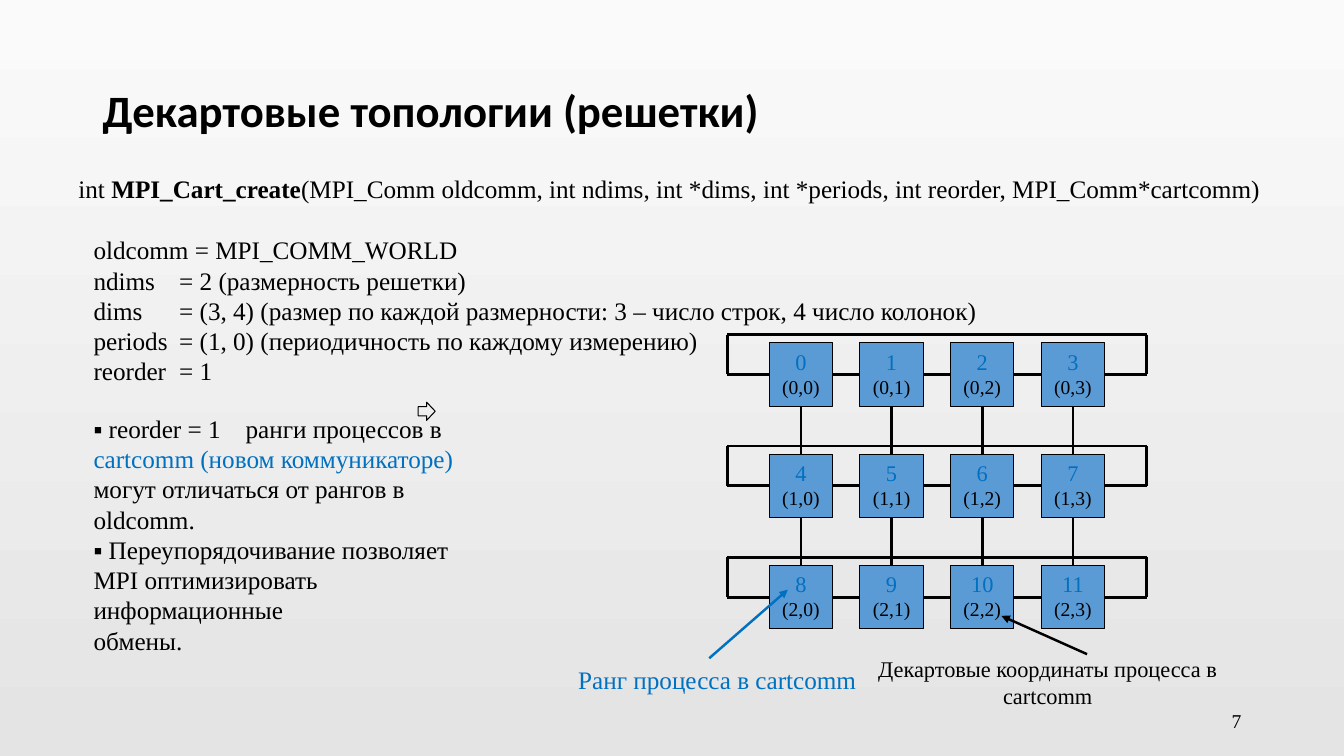
from itertools import product

from lxml.etree import SubElement
from pptx import Presentation
from pptx.dml.color import RGBColor
from pptx.enum.shapes import MSO_CONNECTOR, MSO_SHAPE
from pptx.enum.text import MSO_ANCHOR as ANCHOR, PP_ALIGN as ALIGN
from pptx.oxml.ns import qn
from pptx.util import Inches, Pt

SERIF = "Times New Roman"
BLACK, BLUE, CELL_FILL = "000000", "0070C0", "5B9BD5"
ROWS, COLS = 3, 4


def rgb(value):
    return RGBColor.from_string(value)


def add_run(p, text, size=18, color=BLACK, bold=False, font=SERIF):
    r = p.add_run()
    r.text = text
    r.font.size = Pt(size)
    r.font.name = font
    r.font.bold = bold
    r.font.color.rgb = rgb(color)


def fill_frame(tf, paragraphs, align=ALIGN.LEFT, tab=None):
    """Write paragraphs, each a list of run argument tuples."""
    for i, runs in enumerate(paragraphs):
        p = tf.add_paragraph() if i else tf.paragraphs[0]
        p.alignment = align
        if tab:
            tabs = SubElement(p._p.get_or_add_pPr(), qn("a:tabLst"))
            SubElement(tabs, qn("a:tab"), pos=str(Inches(tab)), algn="l")
        for args in runs:
            add_run(p, *args)


def add_text(slide, box, paragraphs, align=ALIGN.LEFT, anchor=ANCHOR.TOP, tab=None):
    tf = slide.shapes.add_textbox(*map(Inches, box)).text_frame
    tf.word_wrap = True
    tf.vertical_anchor = anchor
    fill_frame(tf, paragraphs, align, tab)
    return tf


def add_line(slide, start, end, color=BLACK, width=2, arrow=False):
    s = slide.shapes.add_connector(MSO_CONNECTOR.STRAIGHT, *map(Inches, (*start, *end)))
    s.line.color.rgb = rgb(color)
    s.line.width = Pt(width)
    if arrow:
        SubElement(s.line._get_or_add_ln(), qn("a:tailEnd"), type="triangle")
    SubElement(s._element.spPr, qn("a:effectLst"))


def add_outlined(slide, kind, box, fill=None):
    s = slide.shapes.add_shape(kind, *map(Inches, box))
    s.shadow.inherit = False
    if fill:
        s.fill.solid()
        s.fill.fore_color.rgb = rgb(fill)
    else:
        s.fill.background()
    s.line.color.rgb = rgb(BLACK)
    s.line.width = Pt(0.75)
    return s


def set_background(slide):
    fill = slide.background.fill
    fill.gradient()
    fill.gradient_angle = 270
    for stop, color in zip(fill.gradient_stops, ("FAFAFA", "E4E4E4")):
        stop.color.rgb = rgb(color)


def add_title(slide, box):
    tf = add_text(slide, box, [[("Декартовые топологии (решетки)", 32, BLACK, True, "Calibri")]],
                  anchor=ANCHOR.MIDDLE)
    tf.paragraphs[0].line_spacing = 0.9


def add_signature(slide, box):
    add_text(slide, box, [[
        ("int ",),
        ("MPI_Cart_create", 18, BLACK, True),
        ("(MPI_Comm oldcomm, int ndims, int *dims, int *periods, int reorder, MPI_Comm*cartcomm)",),
    ]])


def add_parameters(slide, box):
    lines = [
        "oldcomm = MPI_COMM_WORLD",
        "ndims\t= 2 (размерность решетки)",
        "dims\t= (3, 4) (размер по каждой размерности: 3 – число строк, 4 число колонок)",
        "periods\t= (1, 0) (периодичность по каждому измерению)",
        "reorder\t= 1",
    ]
    add_text(slide, box, [[(line,)] for line in lines], tab=0.85)


def add_reorder_notes(slide, box):
    left, top = box[:2]
    add_text(slide, box, [
        [("▪ reorder = 1\tранги процессов в ",), ("cartcomm (новом коммуникаторе)", 18, BLUE)],
        [("могут отличаться от рангов в oldcomm.",)],
        [("▪ Переупорядочивание позволяет MPI оптимизировать информационные",)],
        [("обмены.",)],
    ], tab=1.51)
    add_outlined(slide, MSO_SHAPE.RIGHT_ARROW, (left + 3.32, top - 0.06, 0.17, 0.18))


def add_process_grid(slide, box):
    """Lattice of ranked cells; each row is closed by a loop as wide as the box."""
    left, top, width, height = box
    right = left + width
    side, step_x, loop_rise = 0.63, 0.9, 0.08
    step_y = (height - side - loop_rise) / (ROWS - 1)
    first_x = left + (width - side - step_x * (COLS - 1)) / 2
    first_y = top + loop_rise

    for row, col in product(range(ROWS), range(COLS)):
        x, y = first_x + col * step_x, first_y + row * step_y
        s = add_outlined(slide, MSO_SHAPE.RECTANGLE, (x, y, side, side), CELL_FILL)
        tf = s.text_frame
        tf.word_wrap = False
        tf.vertical_anchor = ANCHOR.TOP
        fill_frame(tf, [[(str(row * COLS + col), 16, BLUE)], [(f"({row},{col})", 14)]],
                   ALIGN.CENTER)

    for row, col in product(range(ROWS), range(COLS)):
        x, y = first_x + col * step_x, first_y + row * step_y
        if col < COLS - 1:
            add_line(slide, (x + side, y + side / 2), (x + step_x, y + side / 2))
        if row < ROWS - 1:
            add_line(slide, (x + side / 2, y + side), (x + side / 2, y + step_y))

    last_x = first_x + (COLS - 1) * step_x + side
    for row in range(ROWS):
        y = first_y + row * step_y
        mid, roof = y + side / 2, y - loop_rise
        loop = [(first_x, mid), (left, mid), (left, roof), (right, roof), (right, mid), (last_x, mid)]
        for start, end in zip(loop, loop[1:]):
            add_line(slide, start, end)


def add_callout(slide, box, text, size, color, align, start, end):
    """Caption with an arrow; start and end are offsets from the box corner."""
    left, top = box[:2]
    add_text(slide, box, [[(text, size, color)]], align)
    add_line(slide, (left + start[0], top + start[1]), (left + end[0], top + end[1]),
             color, 1.75, arrow=True)


def add_page_number(slide, box):
    add_text(slide, box, [[("7", 14)]], ALIGN.RIGHT, ANCHOR.MIDDLE)


def main():
    prs = Presentation()
    prs.slide_width, prs.slide_height = Inches(13.34), Inches(7.5)
    slide = prs.slides.add_slide(prs.slide_layouts[6])
    set_background(slide)
    add_title(slide, (0.92, 0.4, 11.5, 1.45))
    add_page_number(slide, (9.42, 6.95, 3, 0.4))
    add_signature(slide, (0.68, 1.67, 12.05, 0.4))
    add_process_grid(slide, (7.22, 3.32, 4.16, 2.92))
    add_callout(slide, (5.64, 6.54, 3.02, 0.4), "Ранг процесса в cartcomm",
                18, BLUE, ALIGN.LEFT, (1.4, -0.01), (2.18, -0.69))
    add_callout(slide, (8.61, 6.45, 3.58, 0.64), "Декартовые координаты процесса в cartcomm",
                16, BLACK, ALIGN.CENTER, (2.18, 0.04), (1.33, -0.34))
    add_parameters(slide, (0.83, 2.28, 10.25, 1.6))
    add_reorder_notes(slide, (0.83, 4.05, 4.02, 2.5))
    prs.save("out.pptx")


if __name__ == "__main__":
    main()
